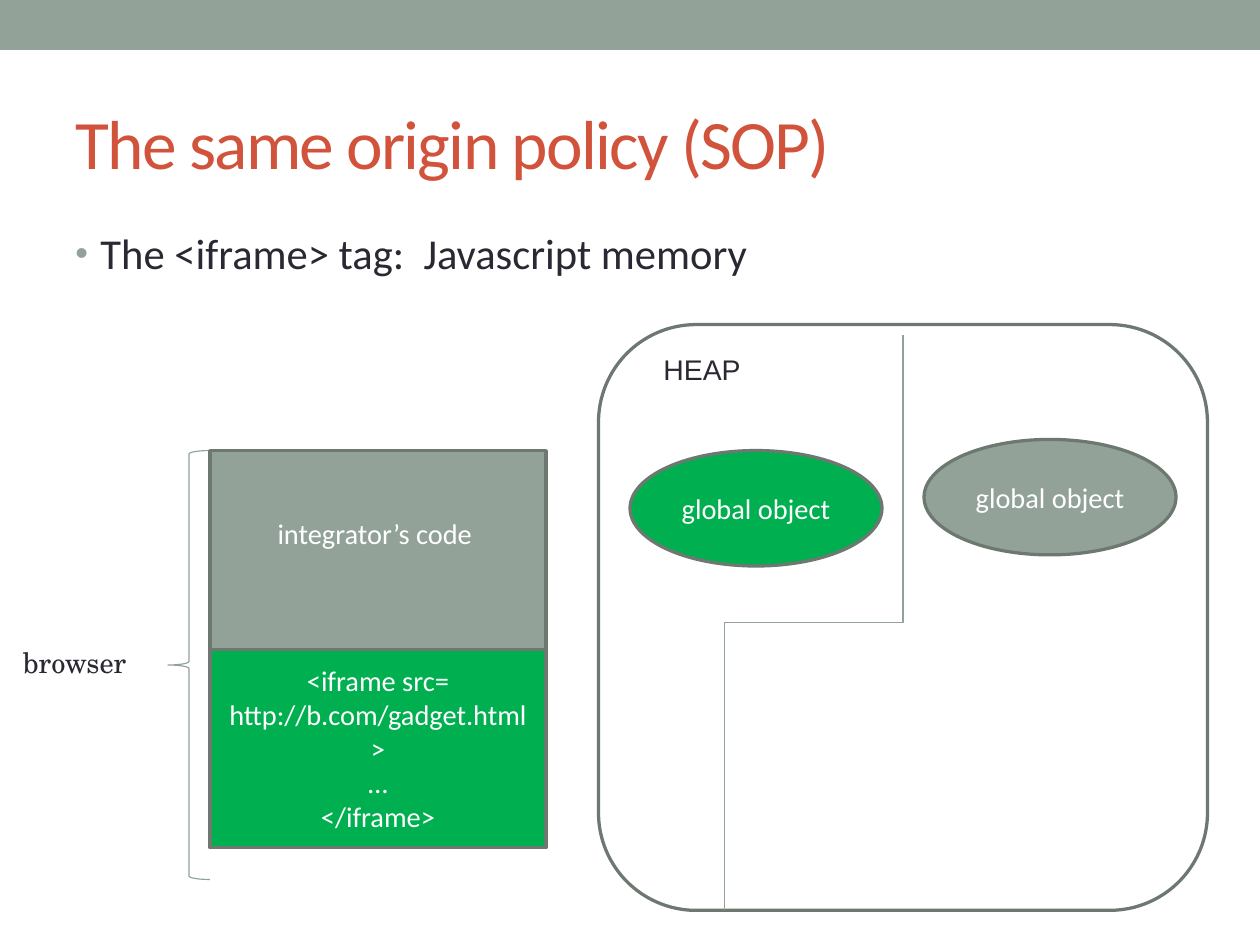
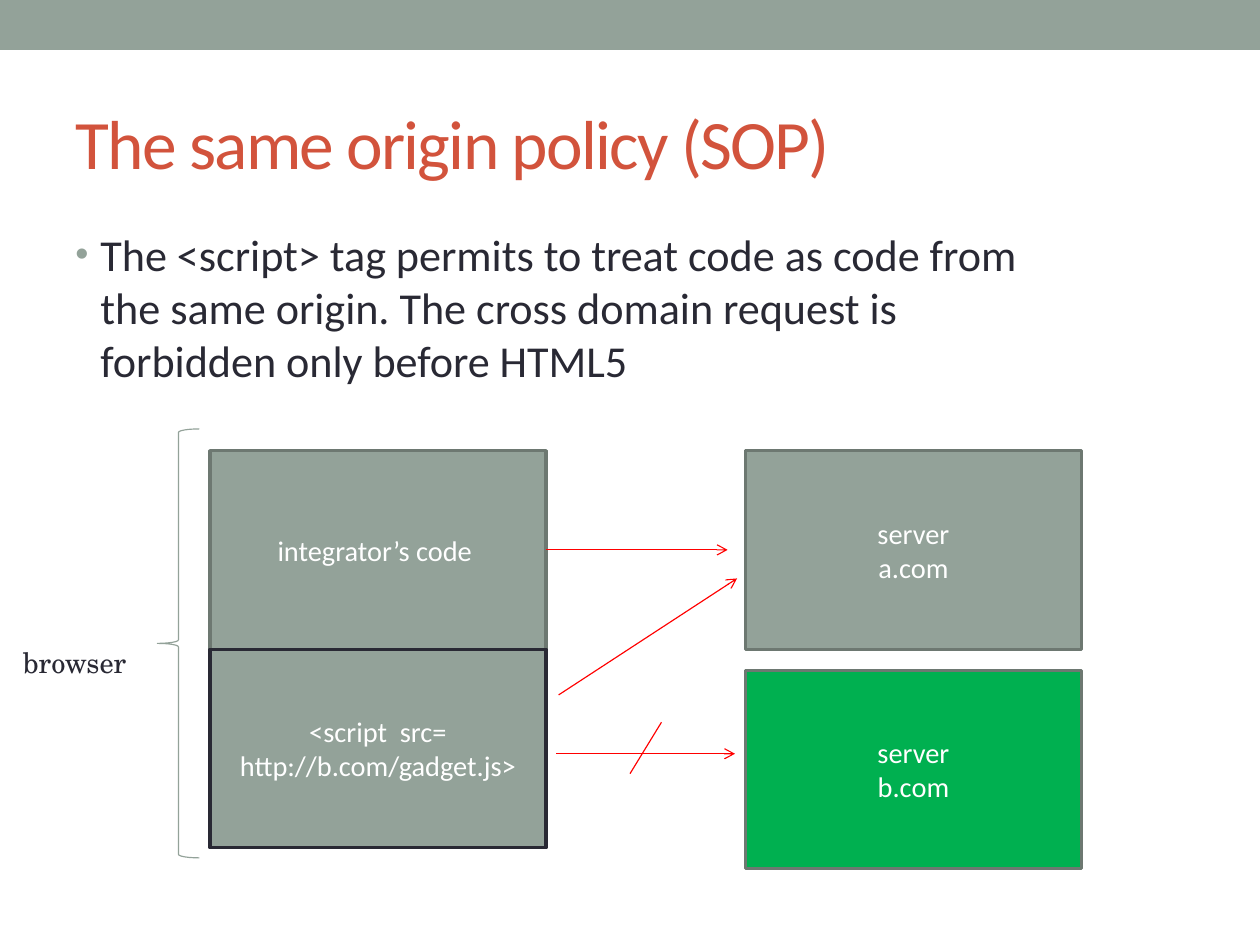
"""Build two slides on the same origin policy: iframe memory and script requests."""
from dataclasses import dataclass

from lxml import etree
from pptx import Presentation
from pptx.dml.color import RGBColor
from pptx.enum.shapes import MSO_CONNECTOR, MSO_SHAPE
from pptx.enum.text import MSO_ANCHOR, PP_ALIGN
from pptx.oxml.ns import qn
from pptx.util import Inches, Pt

RECT, ROUNDED, OVAL = MSO_SHAPE.RECTANGLE, MSO_SHAPE.ROUNDED_RECTANGLE, MSO_SHAPE.OVAL
BRACE = MSO_SHAPE.LEFT_BRACE
STRAIGHT, ELBOW = MSO_CONNECTOR.STRAIGHT, MSO_CONNECTOR.ELBOW
TOP, MIDDLE = MSO_ANCHOR.TOP, MSO_ANCHOR.MIDDLE
LEFT, CENTER = PP_ALIGN.LEFT, PP_ALIGN.CENTER
RIGHT_SIDE = 3


@dataclass(frozen=True)
class Theme:
    """Colours, fonts, type sizes and line widths shared by the slides."""
    sage: str = "93A299"
    edge: str = "6D7871"
    green: str = "00B050"
    ink: str = "292934"
    brick: str = "D2533C"
    red: str = "FF0000"
    white: str = "FFFFFF"
    sans: str = "Calibri"
    plain: str = "Arial"
    serif: str = "TeX Gyre Schola"
    title: float = 44
    label: float = 18
    thin: float = 0.75
    thick: float = 2.08


THEME = Theme()
WIDTH, HEIGHT = Inches(11.1), Inches(8.3)
COLUMNS = 60
CELL = WIDTH / COLUMNS

PAGE_LEFT = 3
CODE_LEFT, CODE_TOP = 10, 21.46
BOX_WIDTH, BOX_HEIGHT = 16, 9.46
CODE_RIGHT = CODE_LEFT + BOX_WIDTH
EMBED_TOP = CODE_TOP + BOX_HEIGHT
SERVER_LEFT, SERVER_GAP = 35.5, 1
HEAP_LEFT, HEAP_TOP, HEAP_WIDTH, HEAP_HEIGHT = 28.5, 15.46, 29, 27.9


def grid(*cells):
    """Turn counts of grid cells into slide lengths."""
    return [round(count * CELL) for count in cells]


def color(value):
    """Turn a hex string into a colour."""
    return RGBColor.from_string(value)


def add_bullet(paragraph, size):
    """Give a paragraph a hanging round bullet."""
    paragraph.space_before = Pt(size * 0.2)
    properties = paragraph._p.get_or_add_pPr()
    properties.set("marL", str(Inches(0.22)))
    properties.set("indent", str(-Inches(0.22)))
    tint = etree.SubElement(properties, qn("a:buClr"))
    etree.SubElement(tint, qn("a:srgbClr"), val=THEME.sage)
    etree.SubElement(properties, qn("a:buSzPct"), val="85000")
    etree.SubElement(properties, qn("a:buFont"), typeface=THEME.plain)
    etree.SubElement(properties, qn("a:buChar"), char="•")


def write(shape, text, size=THEME.label, font=THEME.sans, ink=THEME.white, align=CENTER,
          anchor=MIDDLE, spacing=None, bullet=False, lift=0):
    """Fill a shape with formatted text, one paragraph per line."""
    frame = shape.text_frame
    frame.word_wrap = True
    frame.vertical_anchor = anchor
    frame.margin_left = frame.margin_right = Inches(0.11)
    frame.margin_top, frame.margin_bottom = Inches(0.06), Inches(0.06 + lift)
    for index, line in enumerate(text.split("\n")):
        paragraph = frame.add_paragraph() if index else frame.paragraphs[0]
        paragraph.alignment = align
        if bullet:
            add_bullet(paragraph, size)
        run = paragraph.add_run()
        run.text = line
        run.font.size, run.font.name = Pt(size), font
        run.font.color.rgb = color(ink)
        if spacing:
            run._r.get_or_add_rPr().set("spc", str(spacing))


def add_text(slide, area, text, **style):
    """Place left-aligned text on the grid."""
    style = {"ink": THEME.ink, "align": LEFT, "anchor": TOP, **style}
    write(slide.shapes.add_textbox(*grid(*area)), text, **style)


def add_figure(slide, kind, area, fill=None, line=THEME.edge, width=THEME.thick,
               text="", **style):
    """Place a preset shape on the grid with optional fill, outline and text."""
    figure = slide.shapes.add_shape(kind, *grid(*area))
    figure.shadow.inherit = False
    if fill:
        figure.fill.solid()
        figure.fill.fore_color.rgb = color(fill)
    else:
        figure.fill.background()
    if line:
        figure.line.color.rgb = color(line)
        figure.line.width = Pt(width)
    else:
        figure.line.fill.background()
    if text:
        write(figure, text, **style)
    return figure


def add_box(slide, left, top, text, fill=THEME.sage, **style):
    """Place one of the equally sized code or server boxes."""
    return add_figure(slide, RECT, (left, top, BOX_WIDTH, BOX_HEIGHT), fill, text=text, **style)


def add_line(slide, start, end, kind=STRAIGHT, ink=THEME.red, arrow=False, source=None):
    """Draw a thin connector, with an arrowhead or joined to a source's right side."""
    connector = slide.shapes.add_connector(kind, *grid(*start, *end))
    if source:
        connector.begin_connect(source, RIGHT_SIDE)
    connector.line.color.rgb = color(ink)
    connector.line.width = Pt(THEME.thin)
    if arrow:
        etree.SubElement(connector.line._get_or_add_ln(), qn("a:tailEnd"), type="arrow")
    etree.SubElement(connector._element.spPr, qn("a:effectLst"))
    return connector


def add_vertical_elbow(slide, start, end):
    """Draw an elbow that leaves and arrives vertically, going down and left."""
    center_x, center_y = (start[0] + end[0]) / 2, (start[1] + end[1]) / 2
    half_long, half_short = (end[1] - start[1]) / 2, (start[0] - end[0]) / 2
    elbow = add_line(slide, (center_x - half_long, center_y - half_short),
                     (center_x + half_long, center_y + half_short), ELBOW, THEME.sage)
    elbow._element.spPr.find(qn("a:xfrm")).set("rot", str(90 * 60000))


def add_browser(slide, brace_left, brace_top):
    """Label the code boxes as the browser, with a brace."""
    add_figure(slide, BRACE, (brace_left, brace_top, 2, 20.43), line=THEME.sage, width=THEME.thin)
    add_text(slide, (0.5, 30.4, 7.5, 2.2), "browser", font=THEME.serif)


def open_slide(deck, point, point_size):
    """Start a slide with the band, the title and one bullet point."""
    slide = deck.slides.add_slide(deck.slide_layouts[6])
    add_figure(slide, RECT, (0, 0, COLUMNS, 2.38), THEME.sage, line=None)
    add_text(slide, (PAGE_LEFT, 3.5, 54, 6.5), "The same origin policy (SOP)", size=THEME.title,
             ink=THEME.brick, anchor=MIDDLE, spacing=-110)
    add_text(slide, (PAGE_LEFT, 10.5, 49, 31.9), point, size=point_size, bullet=True)
    return slide


def build_memory(deck):
    """Show how an iframe splits the heap between two origins."""
    slide = open_slide(deck, "The <iframe> tag:  Javascript memory", 27)
    add_browser(slide, 8, CODE_TOP)
    add_box(slide, CODE_LEFT, CODE_TOP, "integrator’s code ", lift=0.3)
    add_box(slide, CODE_LEFT, EMBED_TOP,
            "<iframe src= http://b.com/gadget.html >\n…\n</iframe>", THEME.green)
    add_figure(slide, ROUNDED, (HEAP_LEFT, HEAP_TOP, HEAP_WIDTH, HEAP_HEIGHT))
    add_text(slide, (31, 16.43, 10.5, 2.2), "HEAP", font=THEME.plain)
    for left, top, fill in ((44, 20.93, THEME.sage), (30, CODE_TOP, THEME.green)):
        add_figure(slide, OVAL, (left, top, 12, 5.5), fill, text="global object")
    add_vertical_elbow(slide, (43, 15.95), (34.5, HEAP_TOP + HEAP_HEIGHT))


def build_requests(deck):
    """Show which servers a loaded script may reach."""
    slide = open_slide(deck, "The <script> tag permits to treat code as code from the same origin. "
                       "The cross domain request is forbidden only before HTML5", 28)
    integrator = add_box(slide, CODE_LEFT, CODE_TOP, "integrator’s code ")
    add_box(slide, CODE_LEFT, EMBED_TOP, "<script  src=\nhttp://b.com/gadget.js>",
            line=THEME.ink)
    add_browser(slide, 7.5, 20.43)
    servers = (("a.com", THEME.sage), ("b.com", THEME.green))
    for row, (domain, fill) in enumerate(servers):
        top = CODE_TOP + row * (BOX_HEIGHT + SERVER_GAP)
        add_box(slide, SERVER_LEFT, top, f"server\n{domain}", fill)
    code_middle = CODE_TOP + BOX_HEIGHT / 2
    add_line(slide, (CODE_RIGHT, code_middle), (34.65, code_middle), arrow=True, source=integrator)
    add_line(slide, (26.6, 33.1), (35.1, 27.55), arrow=True)
    add_line(slide, (26.5, 35.9), (35, 35.9), arrow=True)
    add_line(slide, (31.5, 34.4), (30, 36.85))


def main():
    """Build and save the deck."""
    deck = Presentation()
    deck.slide_width, deck.slide_height = WIDTH, HEIGHT
    build_memory(deck)
    build_requests(deck)
    deck.save("out.pptx")


if __name__ == "__main__":
    main()
